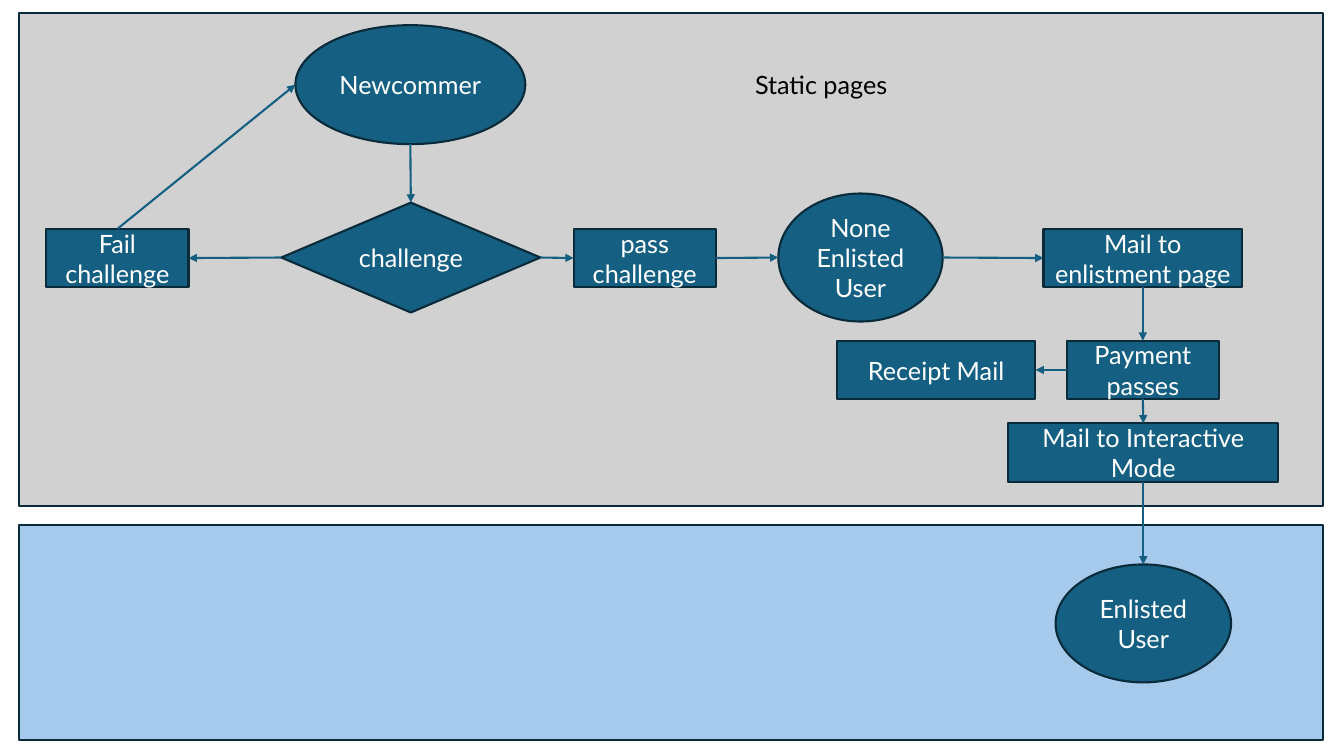
from dataclasses import dataclass

from lxml import etree
from pptx import Presentation
from pptx import util as u
from pptx.dml.color import RGBColor
from pptx.enum import shapes, text
from pptx.oxml import ns

COLORS = {
    "static": "D1D1D1",
    "interactive": "A6CAEC",
    "node": "156082",
    "outline": "092A39",
    "light": "FFFFFF",
    "dark": "000000",
}
FONT = "Lato"
RECTANGLE = shapes.MSO_SHAPE.RECTANGLE
OVAL = shapes.MSO_SHAPE.OVAL
DIAMOND = shapes.MSO_SHAPE.DIAMOND
STEP_HEIGHT = 0.58


@dataclass(frozen=True)
class Node:
    kind: shapes.MSO_SHAPE
    left: float
    top: float
    width: float
    height: float
    label: str = ""
    fill: str = "node"

    def side(self, name: str) -> tuple[float, float]:
        across, down = {
            "left": (0, 0.5),
            "right": (1, 0.5),
            "top": (0.5, 0),
            "bottom": (0.5, 1),
        }[name]
        return self.left + across * self.width, self.top + down * self.height


@dataclass(frozen=True)
class Link:
    source: str
    leaves: str
    target: str
    enters: str


PANELS = [
    Node(RECTANGLE, 0.19, 5.21, 12.93, 2.13, fill="interactive"),
    Node(RECTANGLE, 0.19, 0.13, 12.93, 4.89, fill="static"),
]

NODES = {
    "newcomer": Node(OVAL, 2.93, 0.25, 2.28, 1.18, "Newcommer"),
    "challenge": Node(DIAMOND, 2.79, 2.01, 2.57, 1.09, "challenge"),
    "fail": Node(RECTANGLE, 0.46, 2.27, 1.41, STEP_HEIGHT, "Fail challenge"),
    "pass": Node(RECTANGLE, 5.69, 2.27, 1.41, STEP_HEIGHT, "pass challenge"),
    "unlisted": Node(OVAL, 7.72, 1.92, 1.63, 1.27, "None Enlisted User"),
    "enlistment": Node(RECTANGLE, 10.35, 2.27, 1.97, STEP_HEIGHT, "Mail to enlistment page"),
    "payment": Node(RECTANGLE, 10.58, 3.38, 1.51, STEP_HEIGHT, "Payment passes"),
    "receipt": Node(RECTANGLE, 8.3, 3.38, 1.97, STEP_HEIGHT, "Receipt Mail"),
    "interactive": Node(RECTANGLE, 10, 4.2, 2.68, STEP_HEIGHT, "Mail to Interactive Mode"),
    "enlisted": Node(OVAL, 10.47, 5.6, 1.74, 1.17, "Enlisted User"),
}

LINKS = [
    Link("newcomer", "bottom", "challenge", "top"),
    Link("challenge", "left", "fail", "right"),
    Link("fail", "top", "newcomer", "left"),
    Link("challenge", "right", "pass", "left"),
    Link("pass", "right", "unlisted", "left"),
    Link("unlisted", "right", "enlistment", "left"),
    Link("enlistment", "bottom", "payment", "top"),
    Link("payment", "left", "receipt", "right"),
    Link("payment", "bottom", "interactive", "top"),
    Link("interactive", "bottom", "enlisted", "top"),
]


def rgb(name: str) -> RGBColor:
    return RGBColor.from_string(COLORS[name])


def write(para, words: str, color: str) -> None:
    span = para.add_run()
    span.text = words
    span.font.name = FONT
    span.font.size = u.Pt(18)
    span.font.color.rgb = rgb(color)


def draw_node(page, node: Node) -> None:
    box = page.shapes.add_shape(
        node.kind, *map(u.Inches, (node.left, node.top, node.width, node.height))
    )
    box.shadow.inherit = False
    box.fill.solid()
    box.fill.fore_color.rgb = rgb(node.fill)
    box.line.color.rgb = rgb("outline")
    box.line.width = u.Pt(1.5)
    if node.label:
        frame = box.text_frame
        frame.word_wrap = True
        frame.vertical_anchor = text.MSO_ANCHOR.MIDDLE
        para = frame.paragraphs[0]
        para.alignment = text.PP_ALIGN.CENTER
        write(para, node.label, "light")


def draw_link(page, link: Link) -> None:
    start = NODES[link.source].side(link.leaves)
    end = NODES[link.target].side(link.enters)
    arrow = page.shapes.add_connector(
        shapes.MSO_CONNECTOR.STRAIGHT, *map(u.Inches, start + end)
    )
    arrow.line.color.rgb = rgb("node")
    arrow.line.width = u.Pt(1.5)
    etree.SubElement(arrow.line._get_or_add_ln(), ns.qn("a:tailEnd"), type="triangle")
    etree.SubElement(arrow._element.spPr, ns.qn("a:effectLst"))


def draw_caption(page) -> None:
    box = page.shapes.add_textbox(*map(u.Inches, (7.39, 0.64, 2.63, 0.4)))
    box.text_frame.word_wrap = True
    box.text_frame.auto_size = text.MSO_AUTO_SIZE.SHAPE_TO_FIT_TEXT
    write(box.text_frame.paragraphs[0], "Static pages", "dark")


def main() -> None:
    deck = Presentation()
    deck.slide_width = u.Inches(13.33)
    deck.slide_height = u.Inches(7.5)
    page = deck.slides.add_slide(deck.slide_layouts[6])
    for node in [*PANELS, *NODES.values()]:
        draw_node(page, node)
    for link in LINKS:
        draw_link(page, link)
    draw_caption(page)
    deck.save("out.pptx")


if __name__ == "__main__":
    main()
